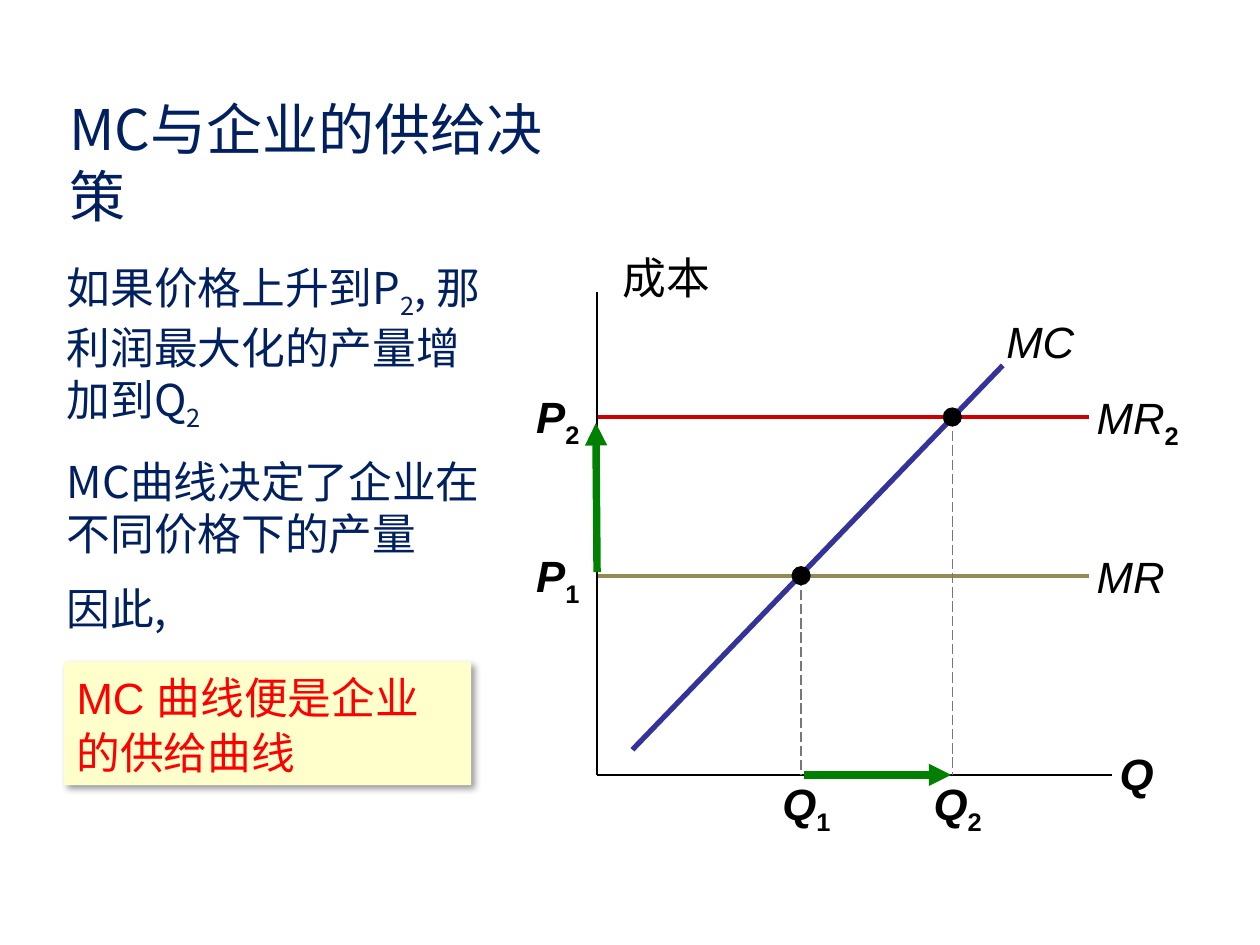
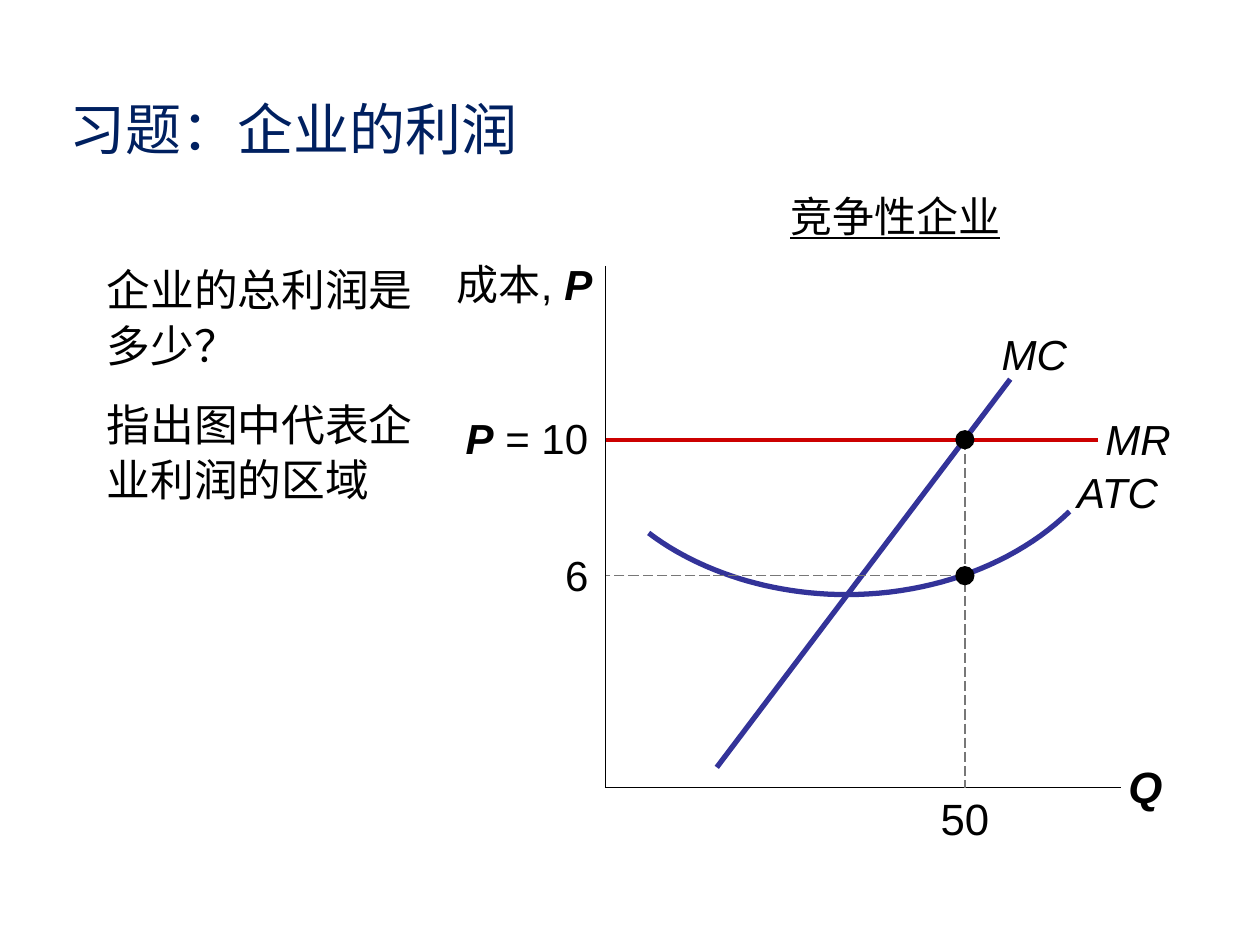
from dataclasses import dataclass

from lxml import etree
from pptx import Presentation
from pptx.dml.color import RGBColor
from pptx.enum import dml, shapes, text
from pptx.oxml import parse_xml
from pptx.oxml.ns import nsdecls, qn
from pptx.util import Pt

COLORS = {
    "navy": "002060", "black": "000000", "red": "FF0000", "cream": "FFFFCC",
    "curve": "333399", "price": "CC0000", "old_price": "948A54",
    "guide": "777777", "move": "008000",
}
CJK = "Noto Sans CJK SC"
LATIN = "Arial"
ALIGN = {"l": text.PP_ALIGN.LEFT, "c": text.PP_ALIGN.CENTER, "r": text.PP_ALIGN.RIGHT}
DOT = 11


def color(name):
    return RGBColor.from_string(COLORS[name])


# ---- Text ----
def write_text(frame, paragraphs, size=25, font=LATIN, ink="black", align="l",
               spacing=1.0, before=0, inset=(7.2, 3.6)):
    """Each paragraph is a list of (text, flags); flags: b, i, u, s (subscript)."""
    frame.word_wrap = True
    frame.vertical_anchor = text.MSO_ANCHOR.TOP
    frame.margin_left = frame.margin_right = Pt(inset[0])
    frame.margin_top = frame.margin_bottom = Pt(inset[1])
    for index, runs in enumerate(paragraphs):
        paragraph = frame.add_paragraph() if index else frame.paragraphs[0]
        paragraph.alignment = ALIGN[align]
        paragraph.line_spacing = spacing
        paragraph.space_before = Pt(before if index else 0)
        for content, flags in runs:
            run = paragraph.add_run()
            run.text = content
            run.font.size = Pt(size)
            run.font.name = font
            run.font.color.rgb = color(ink)
            run.font.bold = "b" in flags
            run.font.italic = "i" in flags
            run.font.underline = "u" in flags
            properties = run._r.get_or_add_rPr()
            if "s" in flags:
                properties.set("baseline", "-25000")
            east_asian = etree.SubElement(properties, qn("a:ea"))
            east_asian.set("typeface", CJK)


def add_text(slide, box, paragraphs, **text_format):
    shape = slide.shapes.add_textbox(*map(Pt, box))
    write_text(shape.text_frame, paragraphs, **text_format)


def add_title(slide, title, width):
    add_text(slide, (32.4, 50.4, width, 46), [[(title, "")]], size=32, font=CJK, ink="navy")


# ---- Graph ----
@dataclass
class Graph:
    """A price and quantity graph; x runs right and y runs up from its origin."""
    slide: object
    box: tuple
    size: int

    def point(self, x, y):
        left, top, _, height = self.box
        return left + x, top + height - y

    def line(self, start, end, ink, width, dashed=False, arrow=False):
        ends = [Pt(value) for value in self.point(*start) + self.point(*end)]
        connector = self.slide.shapes.add_connector(shapes.MSO_CONNECTOR.STRAIGHT, *ends)
        connector.line.color.rgb = color(ink)
        connector.line.width = Pt(width)
        if dashed:
            connector.line.dash_style = dml.MSO_LINE.LONG_DASH
        if arrow:
            head = etree.SubElement(connector.line._get_or_add_ln(), qn("a:tailEnd"))
            head.set("type", "triangle")
        etree.SubElement(connector._element.spPr, qn("a:effectLst"))

    def label(self, x, y, width, runs, size=None, **text_format):
        box = (*self.point(x, y), width, 37)
        add_text(self.slide, box, [runs], size=size or self.size, **text_format)

    def tight_label(self, x, y, width, runs, **text_format):
        self.label(x, y, width, runs, inset=(0, 0), **text_format)

    def axes(self, name, name_right, name_rise):
        _, _, width, height = self.box
        self.line((0, height), (0, 0), "black", 0.75)
        self.line((0, 0), (width, 0), "black", 0.75)
        self.label(291.5, 19.4, 42.5, [("Q", "bi")], size=25)
        self.label(name_right - 132, height + name_rise, 132, name, align="r")

    def price_line(self, y, ink, price, revenue):
        self.line((0, y), (281, y), ink, 2.25)
        self.label(-109, y + 19, 106, price, align="r")
        self.tight_label(285.5, y + 15.1, 60, revenue)

    def marginal_cost(self, start, end, label_shift):
        self.line(start, end, "curve", 3)
        self.tight_label(end[0] + label_shift, end[1] + 28.8, 60, [("MC", "i")])

    def guide(self, start, end):
        self.line(start, end, "guide", 0.75, dashed=True)

    def dot(self, x, y):
        left, top = self.point(x, y)
        shape = self.slide.shapes.add_shape(
            shapes.MSO_SHAPE.OVAL, Pt(left - DOT / 2), Pt(top - DOT / 2), Pt(DOT), Pt(DOT))
        shape.shadow.inherit = False
        shape.fill.solid()
        shape.fill.fore_color.rgb = color("black")
        shape.line.fill.background()

    def output(self, x, y, runs, label_shift=0, drop=1):
        self.guide((x, y), (x, 0))
        self.dot(x, y)
        self.tight_label(x + label_shift - 20, -drop, 40, runs, size=25, align="c")

    def curve(self, segments, steps=24):
        points = [segments[0][0]]
        for segment in segments:
            for step in range(1, steps + 1):
                t = step / steps
                weights = ((1 - t) ** 3, 3 * t * (1 - t) ** 2, 3 * t * t * (1 - t), t ** 3)
                points.append(tuple(sum(w * p[axis] for w, p in zip(weights, segment))
                                    for axis in (0, 1)))
        first, *rest = [tuple(map(Pt, self.point(*point))) for point in points]
        builder = self.slide.shapes.build_freeform(*first)
        builder.add_line_segments(rest, close=False)
        shape = builder.convert_to_shape()
        shape.shadow.inherit = False
        shape.fill.background()
        shape.line.color.rgb = color("curve")
        shape.line.width = Pt(3)


# ---- Slide 1: supply decision ----
def add_conclusion(slide, box):
    shape = slide.shapes.add_shape(shapes.MSO_SHAPE.RECTANGLE, *map(Pt, box))
    shape.fill.solid()
    shape.fill.fore_color.rgb = color("cream")
    shape.line.fill.background()
    shape._element.spPr.append(parse_xml(
        f'<a:effectLst {nsdecls("a")}><a:outerShdw blurRad="{Pt(4)}" dist="{Pt(3)}" '
        f'dir="2700000" algn="tl" rotWithShape="0"><a:srgbClr val="{COLORS["black"]}">'
        '<a:alpha val="40000"/></a:srgbClr></a:outerShdw></a:effectLst>'))
    write_text(shape.text_frame, [[("MC 曲线便是企业的供给曲线", "")]], ink="red", spacing=1.05)


def draw_supply_graph(slide, box):
    graph = Graph(slide, box, 25)
    low, high = (116.6, 113.8), (203, 204.5)
    graph.price_line(low[1], "old_price", [("P", "bi"), ("1", "bs")], [("MR", "i")])
    graph.price_line(high[1], "price", [("P", "bi"), ("2", "bs")], [("MR", "i"), ("2", "bs")])
    graph.axes([("成本", "")], 71.5, 27.4)
    graph.marginal_cost((20.2, 14.4), (231.8, 234), 2)
    for number, (x, y) in enumerate((low, high), start=1):
        graph.output(x, y, [("Q", "bi"), (str(number), "bs")], label_shift=3)
    # Moves along both axes
    graph.line((low[0] + 1.4, 0), (high[0] - 0.7, 0), "move", 4.25, arrow=True)
    graph.line((0, low[1] + 2), (-0.7, high[1] - 3.5), "move", 4.25, arrow=True)


def build_supply_slide(slide):
    add_title(slide, "MC与企业的供给决策", 314)
    add_text(slide, (31, 145.4, 250.6, 311), [
        [("如果价格上升到P", ""), ("2", "s"), (", 那利润最大化的产量增加到Q", ""), ("2", "s")],
        [("MC曲线决定了企业在不同价格下的产量", "")],
        [("因此,", "")],
    ], font=CJK, ink="navy", before=12.5)
    draw_supply_graph(slide, (341.2, 167, 294.5, 275.8))
    add_conclusion(slide, (36.7, 378, 232.6, 70.6))


# ---- Slide 2: profit exercise ----
def draw_profit_graph(slide, box):
    graph = Graph(slide, box, 24)
    quantity, price, cost = 205.2, 198.7, 121
    graph.axes([("成本, ", ""), ("P", "bi")], -0.7, 7.9)
    graph.marginal_cost((63.4, 11.5), (231.1, 233.3), -5)
    # Average total cost
    bottom = (137.5, 110.2)
    graph.curve([
        ((265, 157.7), (234.7, 128.2), (187.9, 110.2), bottom),
        (bottom, (95, 110.2), (54, 123.1), (24.5, 145.4)),
    ])
    graph.tight_label(269.3, 183.6, 60, [("ATC", "i")])
    graph.price_line(price, "price", [("P", "bi"), (" = 10", "")], [("MR", "i")])
    graph.output(quantity, price, [("50", "")], drop=2.2)
    graph.guide((quantity, cost), (0, cost))
    graph.dot(quantity, cost)
    graph.tight_label(-47.5, cost + 15.1, 37.5, [("6", "")], align="r")


def build_profit_slide(slide):
    add_title(slide, "习题：企业的利润", 273)
    add_text(slide, (54, 145.4, 199.4, 142.6), [
        [("企业的总利润是多少？", "")],
        [("指出图中代表企业利润的区域", "")],
    ], font=CJK, spacing=1.05, before=13.75)
    draw_profit_graph(slide, (346.2, 152, 294.5, 298))
    add_text(slide, (388, 103.7, 247, 38.2), [[("竞争性企业", "u")]],
             size=24, align="c", spacing=1.05)


def main():
    presentation = Presentation()
    presentation.slide_width, presentation.slide_height = Pt(720), Pt(540)
    for build in (build_supply_slide, build_profit_slide):
        build(presentation.slides.add_slide(presentation.slide_layouts[6]))
    presentation.save("out.pptx")


if __name__ == "__main__":
    main()
